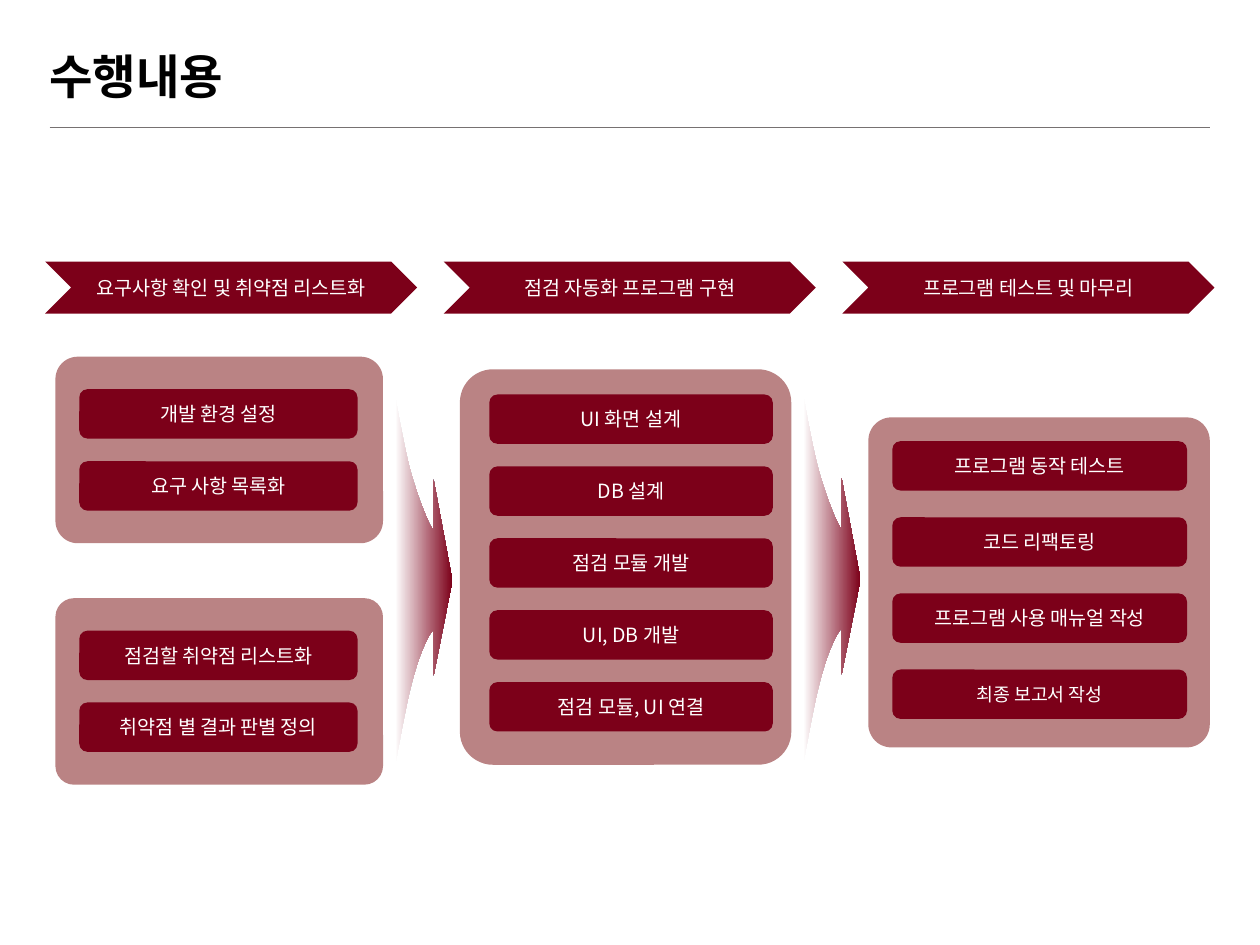
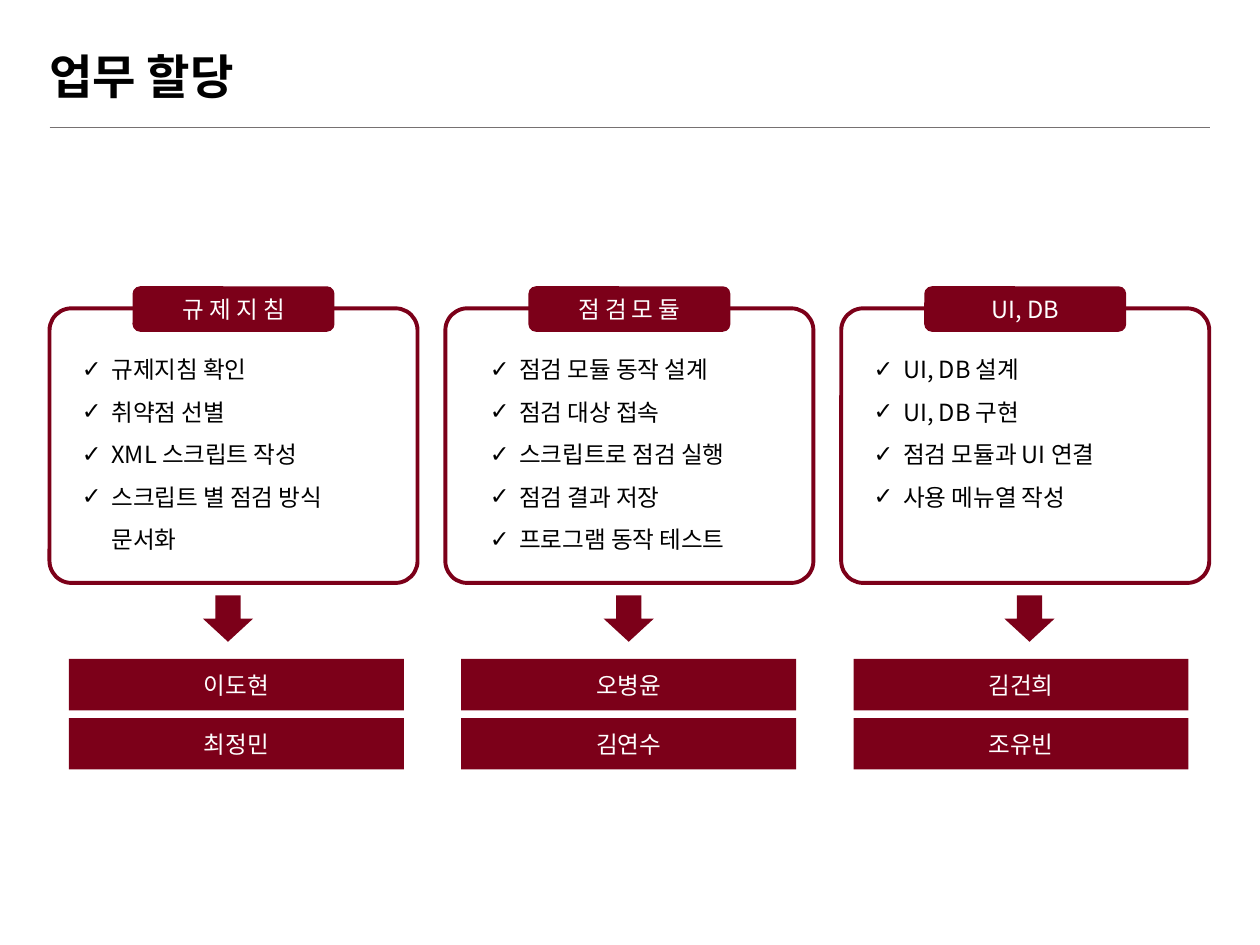
from lxml import etree
from pptx import Presentation
from pptx.dml.color import RGBColor
from pptx.enum.shapes import MSO_CONNECTOR, MSO_SHAPE
from pptx.enum.text import MSO_ANCHOR, MSO_AUTO_SIZE, PP_ALIGN
from pptx.oxml.ns import qn
from pptx.util import Pt

CHEVRON, DOWN_ARROW = MSO_SHAPE.CHEVRON, MSO_SHAPE.DOWN_ARROW
RECT, ROUNDED = MSO_SHAPE.RECTANGLE, MSO_SHAPE.ROUNDED_RECTANGLE
STRAIGHT = MSO_CONNECTOR.STRAIGHT
MIDDLE, TOP = MSO_ANCHOR.MIDDLE, MSO_ANCHOR.TOP
CENTER, LEFT = PP_ALIGN.CENTER, PP_ALIGN.LEFT
NO_AUTOFIT = MSO_AUTO_SIZE.NONE

MAROON = RGBColor(0x7C, 0x00, 0x19)
ROSE = RGBColor(0xBA, 0x83, 0x84)
WHITE = RGBColor(0xFF, 0xFF, 0xFF)
BLACK = RGBColor(0x00, 0x00, 0x00)
GREY = RGBColor(0x76, 0x71, 0x71)
KOREAN = "Noto Sans CJK KR"
TITLE_FONT = "Arial"
TITLE_LAYOUT = 5

# Formats, sizes in points
STEP_TEXT = {"name": KOREAN, "size": Pt(11.2), "color": WHITE}
SMALL_STEP_TEXT = {**STEP_TEXT, "size": Pt(10.5)}
TASK_LABEL = {"name": KOREAN, "size": Pt(13.5), "color": WHITE}
TASK_TEXT = {**TASK_LABEL, "color": BLACK}
TITLE_TEXT = {"name": TITLE_FONT, "size": Pt(27), "bold": True, "color": BLACK}

# Slide 1: phases and panels of steps
PHASES = ["요구사항 확인 및 취약점 리스트화", "점검 자동화 프로그램 구현", "프로그램 테스트 및 마무리"]
BAR_HEIGHT = 28.2
# box, corner, offset of first bar, bar width, distance between bars, steps
PANELS = [
    ((31.7, 203.8, 187.2, 106.6), 0.12, (13.6, 18.6), 159, 41.2,
     ["개발 환경 설정", "요구 사항 목록화"]),
    ((31.7, 341.8, 187.2, 106.6), 0.1, (13.6, 18.6), 159, 41,
     ["점검할 취약점 리스트화", "취약점 별 결과 판별 정의"]),
    ((262.8, 211, 189.4, 226), 0.1, (16.8, 14.4), 162, 41.1,
     ["UI 화면 설계", "DB 설계", "점검 모듈 개발", "UI, DB 개발", "점검 모듈, UI 연결"]),
    ((496.2, 238.5, 195.1, 188.6), 0.07, (13.7, 13.6), 168.4, 43.5,
     ["프로그램 동작 테스트", "코드 리팩토링", "프로그램 사용 매뉴얼 작성", "최종 보고서 작성"]),
]

# Flow arrow outline: two curved flanks and a head
UPPER_FLANK = [(0, 0), (2.2, 10.8), (7.9, 46), (12.2, 62.6),
               (16.6, 79.2), (23.8, 97.2), (26, 98.6)]
HEAD = [(26, 69.8), (36.7, 127.4), (26, 181.4)]
LOWER_FLANK = [(26, 155.5), (23.8, 156.2), (18, 168.5), (13.7, 185),
               (9.4, 200.9), (2.9, 239.8), (0, 254.2)]

# Slide 2: heading, list inset, tasks, people
TASKS = [
    ("규 제 지 침", 11.5,
     ["규제지침 확인", "취약점 선별", "XML 스크립트 작성", "스크립트 별 점검 방식 문서화"],
     ["이도현", "최정민"]),
    ("점 검 모 듈", 18.3,
     ["점검 모듈 동작 설계", "점검 대상 접속", "스크립트로 점검 실행", "점검 결과 저장",
      "프로그램 동작 테스트"],
     ["오병윤", "김연수"]),
    ("UI, DB", 11.5,
     ["UI, DB 설계", "UI, DB 구현", "점검 모듈과 UI 연결", "사용 메뉴열 작성"],
     ["김건희", "조유빈"]),
]


def points(*values):
    return [Pt(value) for value in values]


def write(paragraph, text, look):
    run = paragraph.add_run()
    run.text = text
    for key, value in look.items():
        if key == "color":
            run.font.color.rgb = value
        else:
            setattr(run.font, key, value)
    etree.SubElement(run.font._element, qn("a:ea"), typeface=KOREAN)


def add_block(slide, kind, box, fill=None, text="", look=None, corner=None):
    block = slide.shapes.add_shape(kind, *points(*box))
    block.shadow.inherit = False
    block.line.fill.background()
    if fill is None:
        block.fill.background()
    else:
        block.fill.solid()
        block.fill.fore_color.rgb = fill
    if corner is not None:
        block.adjustments[0] = corner
    if text:
        frame = block.text_frame
        frame.vertical_anchor = MIDDLE
        frame.paragraphs[0].alignment = CENTER
        write(frame.paragraphs[0], text, look)
    return block


def add_titled_slide(deck, heading):
    slide = deck.slides.add_slide(deck.slide_layouts[TITLE_LAYOUT])
    title = slide.shapes.title
    title.left, title.top, title.width, title.height = points(20.9, 18, 677.5, 54.7)
    frame = title.text_frame
    frame.auto_size = NO_AUTOFIT
    frame.vertical_anchor = MIDDLE
    frame.margin_left = frame.margin_right = Pt(7.2)
    frame.margin_top = frame.margin_bottom = Pt(2.9)
    paragraph = frame.paragraphs[0]
    paragraph.alignment = LEFT
    paragraph.line_spacing = 0.9
    write(paragraph, heading, TITLE_TEXT)

    # Rule under the title
    rule = slide.shapes.add_connector(STRAIGHT, *points(28.4, 73, 691.6, 73))
    rule.line.color.rgb = GREY
    rule.line.width = Pt(0.5)
    etree.SubElement(rule._element.spPr, qn("a:effectLst"))
    return slide


def add_panel(slide, box, corner, offset, bar_width, pitch, steps):
    add_block(slide, ROUNDED, box, ROSE, corner=corner)
    for row, step in enumerate(steps):
        bar = (box[0] + offset[0], box[1] + offset[1] + row * pitch, bar_width, BAR_HEIGHT)
        look = SMALL_STEP_TEXT if step == "최종 보고서 작성" else STEP_TEXT
        add_block(slide, ROUNDED, bar, MAROON, step, look)


def curve(start, first, second, end, pieces=10):
    """Points along a cubic curve, without its start."""
    for i in range(1, pieces + 1):
        t = i / pieces
        u = 1 - t
        yield tuple(u**3 * a + 3 * u * u * t * b + 3 * u * t * t * c + t**3 * d
                    for a, b, c, d in zip(start, first, second, end))


def flank(knots):
    return [knots[0], *curve(*knots[:4]), *curve(*knots[3:])]


def add_flow_arrow(slide, left, top):
    outline = [(left + x, top + y) for x, y in flank(UPPER_FLANK) + HEAD + flank(LOWER_FLANK)]
    builder = slide.shapes.build_freeform(*points(*outline[0]))
    builder.add_line_segments([points(*corner) for corner in outline[1:]], close=True)
    arrow = builder.convert_to_shape()
    arrow.shadow.inherit = False
    arrow.line.fill.background()
    arrow.fill.gradient()
    arrow.fill.gradient_angle = 0
    for stop, (position, color) in zip(arrow.fill.gradient_stops, [(0.11, WHITE), (1, MAROON)]):
        stop.position = position
        stop.color.rgb = color


def build_work_slide(deck):
    slide = add_titled_slide(deck, "수행내용")
    for column, phase in enumerate(PHASES):
        box = (25.8 + column * 227.8, 149.5, 212.6, 29.7)
        add_block(slide, CHEVRON, box, MAROON, phase, STEP_TEXT)
    for left, top in [(221.8, 204.5), (455, 203.8)]:
        add_flow_arrow(slide, left, top)
    for panel in PANELS:
        add_panel(slide, *panel)


def add_checklist(slide, box, tasks):
    checklist = slide.shapes.add_textbox(*points(*box))
    frame = checklist.text_frame
    frame.word_wrap = True
    frame.vertical_anchor = TOP
    for i, task in enumerate(tasks):
        paragraph = frame.add_paragraph() if i else frame.paragraphs[0]
        paragraph.line_spacing = 1.5
        properties = paragraph._p.get_or_add_pPr()
        properties.set("marL", str(Pt(16.9)))
        properties.set("indent", str(-Pt(16.9)))
        etree.SubElement(properties, qn("a:buFont"), typeface=TITLE_FONT)
        etree.SubElement(properties, qn("a:buChar"), char="✓")
        write(paragraph, task, TASK_TEXT)


def add_task_card(slide, box, heading, list_inset, tasks):
    left, top, width, _ = box
    border = add_block(slide, ROUNDED, box, corner=0.08)
    border.line.color.rgb = MAROON
    border.line.width = Pt(2.25)
    tab = (left + (width - 115.4) / 2, top - 12.6, 115.4, 26)
    add_block(slide, ROUNDED, tab, MAROON, heading, TASK_LABEL)
    add_checklist(slide, (left + list_inset, top + 15.1, 191.4, 127.4), tasks)


def add_people(slide, left, top, people):
    for row, person in enumerate(people):
        add_block(slide, RECT, (left, top + row * 33.8, 191.4, 29.4), MAROON, person, TASK_LABEL)


def build_assignment_slide(deck):
    slide = add_titled_slide(deck, "업무 할당")
    for column, (heading, list_inset, tasks, people) in enumerate(TASKS):
        card = (28.3 + column * 226.2, 176.2, 210.3, 156.9)
        add_task_card(slide, card, heading, list_inset, tasks)
        add_block(slide, DOWN_ARROW, (115.9 + column * 229, 340.2, 28.8, 26.5), MAROON)
        add_people(slide, 39.4 + column * 224.2, 376.5, people)


def main():
    deck = Presentation()
    deck.slide_width, deck.slide_height = points(720, 540)
    build_work_slide(deck)
    build_assignment_slide(deck)
    deck.save("out.pptx")


if __name__ == "__main__":
    main()
